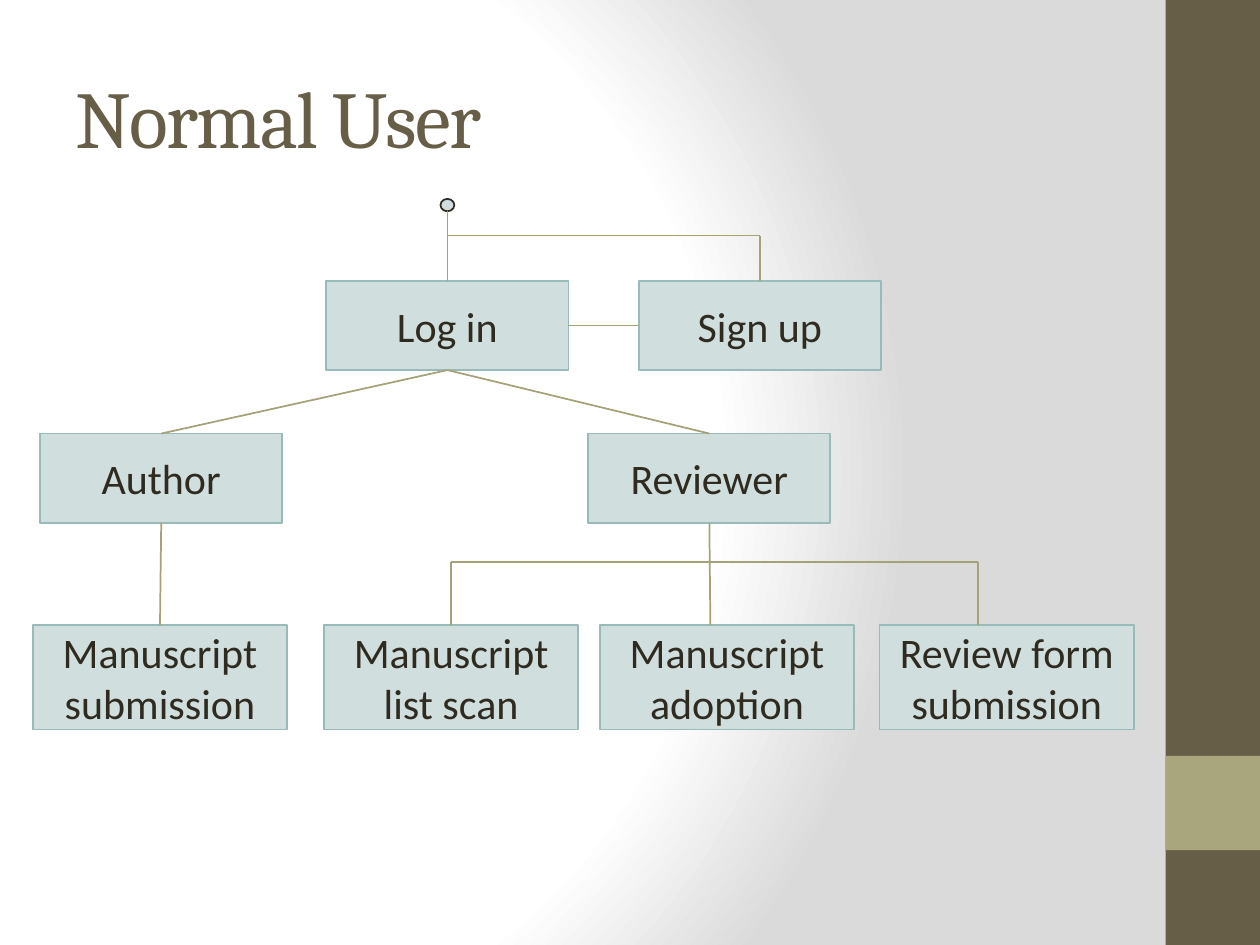
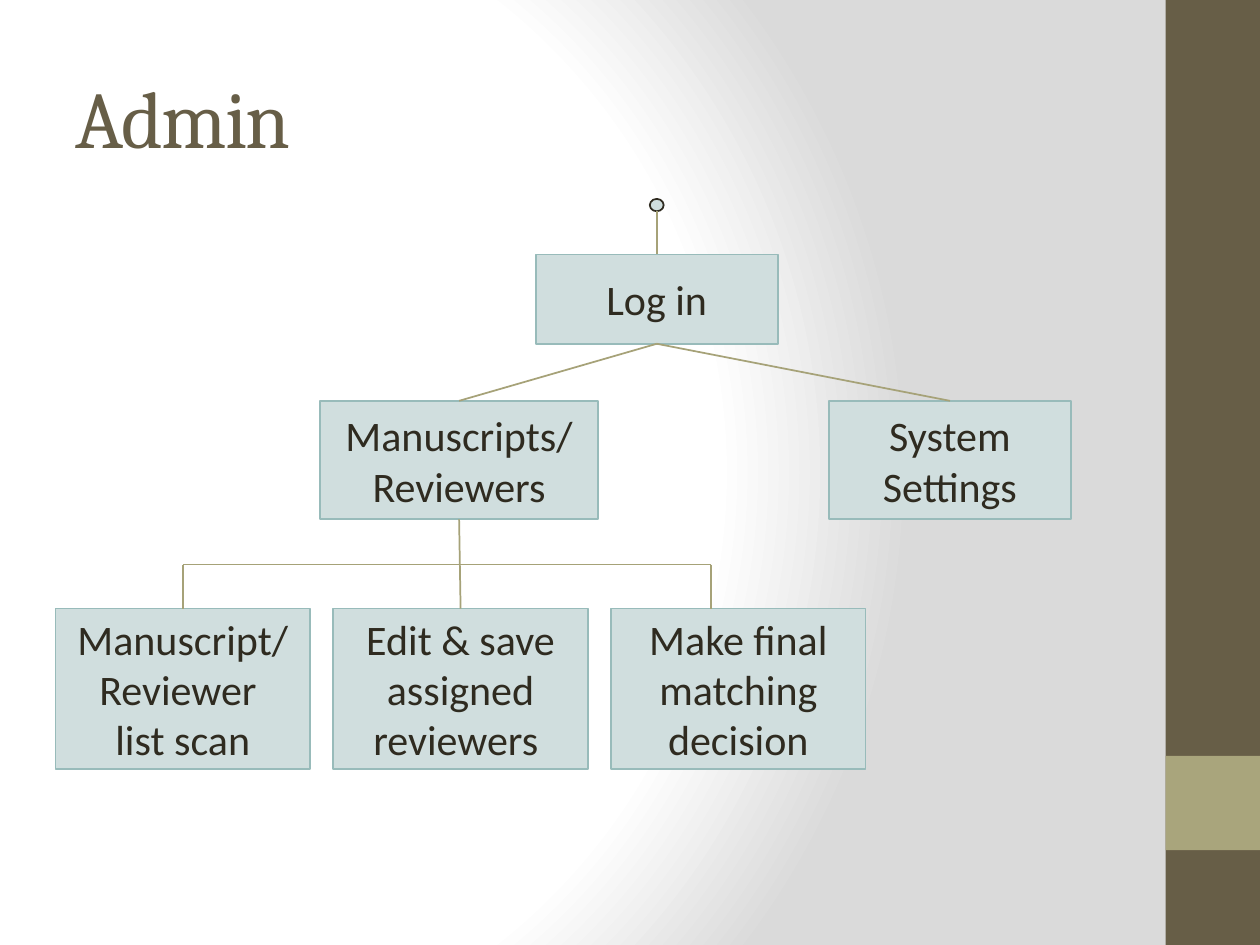
from dataclasses import dataclass
from typing import NamedTuple

from lxml.etree import SubElement
from pptx import Presentation
from pptx.dml.color import RGBColor
from pptx.enum.shapes import MSO_CONNECTOR, MSO_SHAPE
from pptx.enum.text import MSO_ANCHOR, PP_ALIGN
from pptx.oxml import parse_xml
from pptx.oxml.ns import nsdecls, qn
from pptx.util import Cm, Pt

COLORS = {
    "olive": "675E47",
    "khaki": "A9A57C",
    "box": "D0DEDE",
    "box_edge": "98BBBA",
    "link": "A6A278",
    "ink": "2F2B20",
    "white": "FFFFFF",
    "grey": "DADADA",
}
TITLE_FONT, BODY_FONT = "Cambria", "Calibri"
SLIDE_W, SLIDE_H = 25.4, 19.05
BAND_LEFT, BAND_W = 23.5, 1.9
DOT_TOP, DOT_W, DOT_H = 4.01, 0.28, 0.25
TOP, LEFT, BOTTOM, RIGHT = range(4)


class Size(NamedTuple):
    width: float
    height: float


class Point(NamedTuple):
    x: float
    y: float


ROLE = Size(4.88, 1.8)
SETTINGS = Size(4.88, 2.39)
ASSIGNMENT = Size(5.61, 2.39)
TASK = Size(5.13, 2.11)
ADMIN_TASK = Size(5.13, 3.23)


@dataclass(frozen=True)
class Box:
    lines: tuple[str, ...]
    left: float
    top: float
    size: Size

    def side(self, site: int) -> Point:
        width, height = self.size
        dx, dy = ((width / 2, 0), (0, height / 2), (width / 2, height), (width, height / 2))[site]
        return Point(self.left + dx, self.top + dy)


class Joint(NamedTuple):
    box: Box
    site: int


class Link(NamedTuple):
    start: Joint | Point
    end: Joint | Point


@dataclass(frozen=True)
class SiteMap:
    title: str
    entry: Box
    boxes: list[Box]
    links: list[Link]


def color(name: str) -> RGBColor:
    return RGBColor.from_string(COLORS[name])


def add_filled(slide, preset, left: float, top: float, size: Size, fill: str, edge: str | None = None):
    figure = slide.shapes.add_shape(preset, Cm(left), Cm(top), Cm(size.width), Cm(size.height))
    figure.shadow.inherit = False
    figure.fill.solid()
    figure.fill.fore_color.rgb = color(fill)
    if edge:
        figure.line.color.rgb = color(edge)
        figure.line.width = Pt(1)
    else:
        figure.line.fill.background()
    return figure


def add_run(paragraph, text: str, font: str, size: int, ink: str) -> None:
    run = paragraph.add_run()
    run.text = text
    run.font.name = font
    run.font.size = Pt(size)
    run.font.color.rgb = color(ink)


def draw_box(slide, box: Box):
    figure = add_filled(slide, MSO_SHAPE.RECTANGLE, box.left, box.top, box.size, "box", "box_edge")
    frame = figure.text_frame
    frame.word_wrap = True
    frame.vertical_anchor = MSO_ANCHOR.MIDDLE
    for index, line in enumerate(box.lines):
        paragraph = frame.add_paragraph() if index else frame.paragraphs[0]
        paragraph.alignment = PP_ALIGN.CENTER
        add_run(paragraph, line, BODY_FONT, 24, "ink")
    return figure


def draw_link(slide, link: Link, drawn: dict) -> None:
    points = [end.box.side(end.site) if isinstance(end, Joint) else end for end in link]
    connector = slide.shapes.add_connector(
        MSO_CONNECTOR.STRAIGHT, *(Cm(value) for point in points for value in point)
    )
    connector.line.color.rgb = color("link")
    connector.line.width = Pt(1)
    SubElement(connector.element.spPr, qn("a:effectLst"))
    for end, connect in zip(link, (connector.begin_connect, connector.end_connect)):
        if isinstance(end, Joint):
            connect(drawn[end.box], end.site)


def draw_title(slide, text: str) -> None:
    title = slide.shapes.title
    title.left, title.top, title.width, title.height = Cm(1.27), Cm(0.76), Cm(21.16), Cm(3.18)
    title.text_frame.vertical_anchor = MSO_ANCHOR.MIDDLE
    paragraph = title.text_frame.paragraphs[0]
    paragraph.alignment = PP_ALIGN.LEFT
    add_run(paragraph, text, TITLE_FONT, 46, "olive")
    title.element.xpath(".//a:rPr")[0].set("spc", "-100")


def style_master(master) -> None:
    master.background.fill.solid()
    properties = master.element.xpath("p:cSld/p:bg/p:bgPr")[0]
    stops = "".join(
        f'<a:gs pos="{position}"><a:srgbClr val="{COLORS[name]}"/></a:gs>'
        for position, name in ((0, "white"), (75000, "white"), (100000, "grey"))
    )
    properties.replace(properties[0], parse_xml(
        f'<a:gradFill {nsdecls("a")} rotWithShape="1"><a:gsLst>{stops}</a:gsLst>'
        '<a:path path="circle"><a:fillToRect l="20000" t="50000" r="100000" b="50000"/></a:path>'
        "</a:gradFill>"
    ))


def move_bands_to_layout(slide, layout) -> None:
    bands = ((0, SLIDE_H, "olive"), (15.24, BAND_W, "khaki"))
    for index, (top, height, fill) in enumerate(bands):
        band = add_filled(slide, MSO_SHAPE.RECTANGLE, BAND_LEFT, top, Size(BAND_W, height), fill)
        band.element.xpath(".//p:cNvPr")[0].set("id", str(20 + index))
        layout.shapes.element.insert(2 + index, band.element)


def draw_site_map(slide, site_map: SiteMap) -> None:
    draw_title(slide, site_map.title)
    drawn = {box: draw_box(slide, box) for box in site_map.boxes}
    center = site_map.entry.side(TOP).x
    add_filled(slide, MSO_SHAPE.OVAL, center - DOT_W / 2, DOT_TOP, Size(DOT_W, DOT_H), "box", "ink")
    entry_link = Link(Point(center, DOT_TOP + DOT_H), Joint(site_map.entry, TOP))
    for link in [entry_link, *site_map.links]:
        draw_link(slide, link, drawn)


def branch(parent: Box, child: Box) -> Link:
    return Link(Joint(parent, BOTTOM), Joint(child, TOP))


def fork(y: float, left: Box, right_x: float, right_top: float) -> list[Link]:
    left_end, right_end = Point(left.side(TOP).x, y), Point(right_x, y)
    return [
        Link(left_end, right_end),
        Link(left_end, Joint(left, TOP)),
        Link(right_end, Point(right_x, right_top)),
    ]


def normal_user() -> SiteMap:
    log_in = Box(("Log in",), 6.58, 5.66, ROLE)
    sign_up = Box(("Sign up",), 12.88, 5.66, ROLE)
    author = Box(("Author",), 0.81, 8.74, ROLE)
    reviewer = Box(("Reviewer",), 11.86, 8.74, ROLE)
    tasks = [
        Box((text,), left, 12.6, TASK)
        for text, left in (
            ("Manuscript submission", 0.66),
            ("Manuscript list scan", 6.53),
            ("Manuscript adoption", 12.09),
            ("Review form submission", 17.73),
        )
    ]
    submission, list_scan, adoption, _ = tasks
    sign_up_turn = Point(sign_up.side(TOP).x, 4.75)
    links = [
        Link(Point(log_in.side(TOP).x, 4.75), sign_up_turn),
        Link(sign_up_turn, Joint(sign_up, TOP)),
        Link(Joint(sign_up, LEFT), Joint(log_in, RIGHT)),
        branch(log_in, author),
        branch(log_in, reviewer),
        branch(author, submission),
        Link(Joint(reviewer, BOTTOM), Point(14.32, adoption.top)),
        *fork(11.33, list_scan, 19.71, adoption.top),
    ]
    return SiteMap("Normal User", log_in, [sign_up, log_in, author, reviewer, *tasks], links)


def admin() -> SiteMap:
    log_in = Box(("Log in",), 10.8, 5.13, ROLE)
    settings = Box(("System", "Settings"), 16.71, 8.08, SETTINGS)
    assignment = Box(("Manuscripts/", "Reviewers"), 6.45, 8.08, ASSIGNMENT)
    task_lines = (
        ("Manuscript/Reviewer ", "list scan"),
        ("Edit & save assigned reviewers ",),
        ("Make final matching decision",),
    )
    tasks = [Box(lines, 1.12 + 5.6 * index, 12.27, ADMIN_TASK) for index, lines in enumerate(task_lines)]
    links = [
        branch(log_in, settings),
        branch(log_in, assignment),
        branch(assignment, tasks[1]),
        *fork(11.38, tasks[0], 14.33, tasks[0].top),
    ]
    return SiteMap("Admin", log_in, [log_in, settings, assignment, *tasks], links)


def main() -> None:
    deck = Presentation()
    deck.slide_width, deck.slide_height = Cm(SLIDE_W), Cm(SLIDE_H)
    style_master(deck.slide_master)
    title_only = deck.slide_layouts.get_by_name("Title Only")
    slides = [(deck.slides.add_slide(title_only), site_map) for site_map in (normal_user(), admin())]
    move_bands_to_layout(slides[0][0], title_only)
    for slide, site_map in slides:
        draw_site_map(slide, site_map)
    deck.save("out.pptx")


if __name__ == "__main__":
    main()
